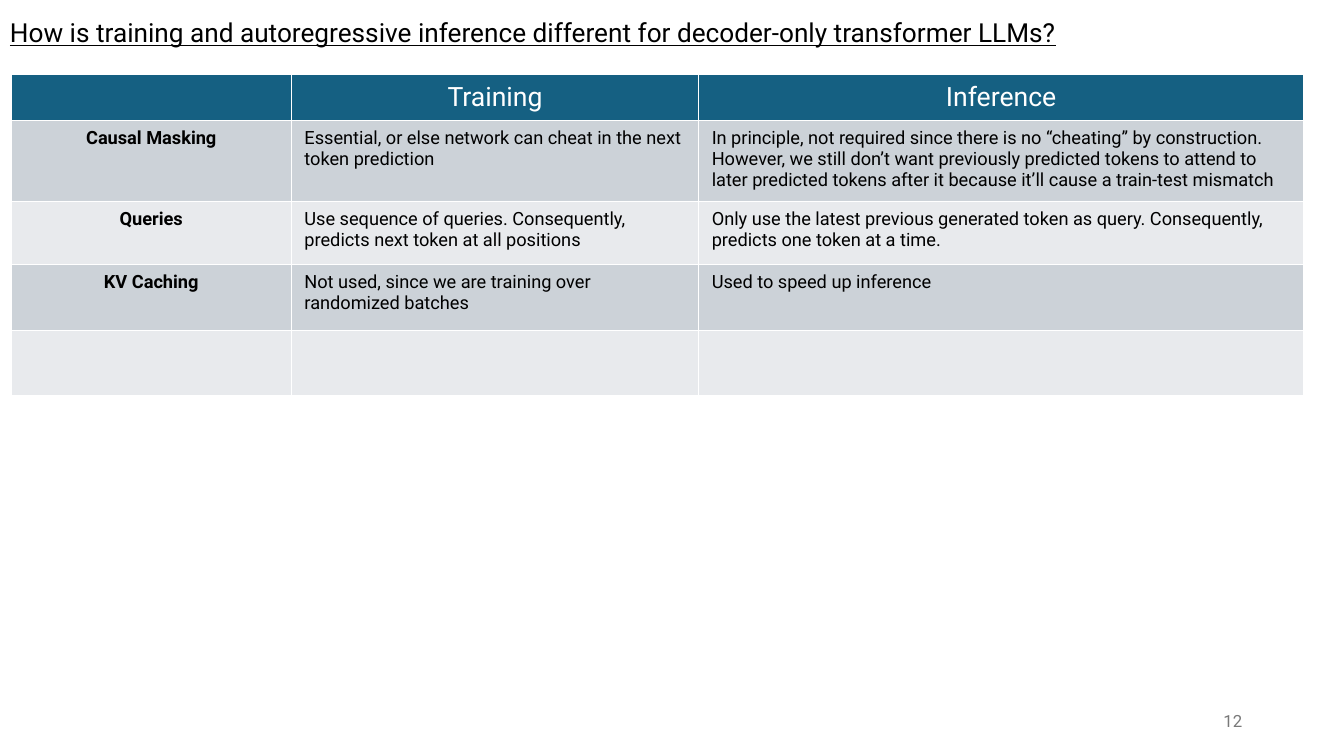
from lxml.etree import SubElement
from pptx import Presentation
from pptx.dml.color import RGBColor
from pptx.enum.text import MSO_ANCHOR, PP_ALIGN
from pptx.oxml.ns import qn
from pptx.util import Inches, Pt

BLACK = RGBColor(0x00, 0x00, 0x00)
WHITE = RGBColor(0xFF, 0xFF, 0xFF)
GREY = RGBColor(0x79, 0x79, 0x79)
TEAL = RGBColor(0x15, 0x60, 0x82)
DARK = RGBColor(0xCC, 0xD2, 0xD8)
LIGHT = RGBColor(0xE8, 0xEA, 0xED)

TITLE = "How is training and autoregressive inference different for decoder-only transformer LLMs?"
ROWS = [
    ("", "Training", "Inference"),
    ("Causal Masking",
     "Essential, or else network can cheat in the next token prediction",
     "In principle, not required since there is no “cheating” by construction. "
     "However, we still don’t want previously predicted tokens to attend to "
     "later predicted tokens after it because it’ll cause a train-test mismatch"),
    ("Queries",
     "Use sequence of queries. Consequently, predicts next token at all positions",
     "Only use the latest previous generated token as query. Consequently, "
     "predicts one token at a time."),
    ("KV Caching",
     "Not used, since we are training over randomized batches",
     "Used to speed up inference"),
    ("", "", ""),
]
WIDTHS = [2.78, 4.04, 6]
HEIGHTS = [0.44, 0.8, 0.63, 0.65, 0.65]


def write(frame, text, size, color, align=PP_ALIGN.LEFT):
    frame.text = text
    para = frame.paragraphs[0]
    para.alignment = align
    for run in para.runs:
        run.font.name = "Roboto"
        run.font.size = Pt(size)
        run.font.color.rgb = color
    return para


def add_label(slide, box, text, size, color, align=PP_ALIGN.LEFT):
    frame = slide.shapes.add_textbox(*map(Inches, box)).text_frame
    frame.word_wrap = True
    frame.vertical_anchor = MSO_ANCHOR.MIDDLE
    return write(frame, text, size, color, align)


def add_edges(cell):
    props = cell._tc.get_or_add_tcPr()
    for side in ("lnL", "lnR", "lnT", "lnB"):
        line = SubElement(props, qn(f"a:{side}"), w=str(Pt(1)))
        fill = SubElement(line, qn("a:solidFill"))
        SubElement(fill, qn("a:srgbClr"), val=str(WHITE))


def fill_cell(cell, text, row, col):
    add_edges(cell)
    head = row == 0
    cell.fill.solid()
    cell.fill.fore_color.rgb = TEAL if head else DARK if row % 2 else LIGHT
    if not text:
        return
    cell.margin_left = cell.margin_right = Inches(0.13)
    cell.margin_top = cell.margin_bottom = Inches(0.07)
    align = PP_ALIGN.CENTER if head or col == 0 else PP_ALIGN.LEFT
    size, color = (19, WHITE) if head else (13, BLACK)
    para = write(cell.text_frame, text, size, color, align)
    para.runs[0].font.bold = not head and col == 0


def add_grid(slide):
    box = map(Inches, (0.11, 0.74, sum(WIDTHS), sum(HEIGHTS)))
    table = slide.shapes.add_table(len(ROWS), len(WIDTHS), *box).table
    for col, width in zip(table.columns, WIDTHS):
        col.width = Inches(width)
    for row, height in zip(table.rows, HEIGHTS):
        row.height = Inches(height)
    for row, texts in enumerate(ROWS):
        for col, text in enumerate(texts):
            fill_cell(table.cell(row, col), text, row, col)


def main():
    deck = Presentation()
    deck.slide_width, deck.slide_height = Inches(13.33), Inches(7.5)
    slide = deck.slides.add_slide(deck.slide_layouts[6])
    title = add_label(slide, (0, -0.07, 11.21, 0.82), TITLE, 18.7, BLACK)
    title.line_spacing = 0.9
    title.runs[0].font.underline = True
    add_grid(slide)
    add_label(slide, (9.42, 6.95, 3, 0.4), "12", 12, GREY, PP_ALIGN.RIGHT)
    deck.save("out.pptx")


if __name__ == "__main__":
    main()
